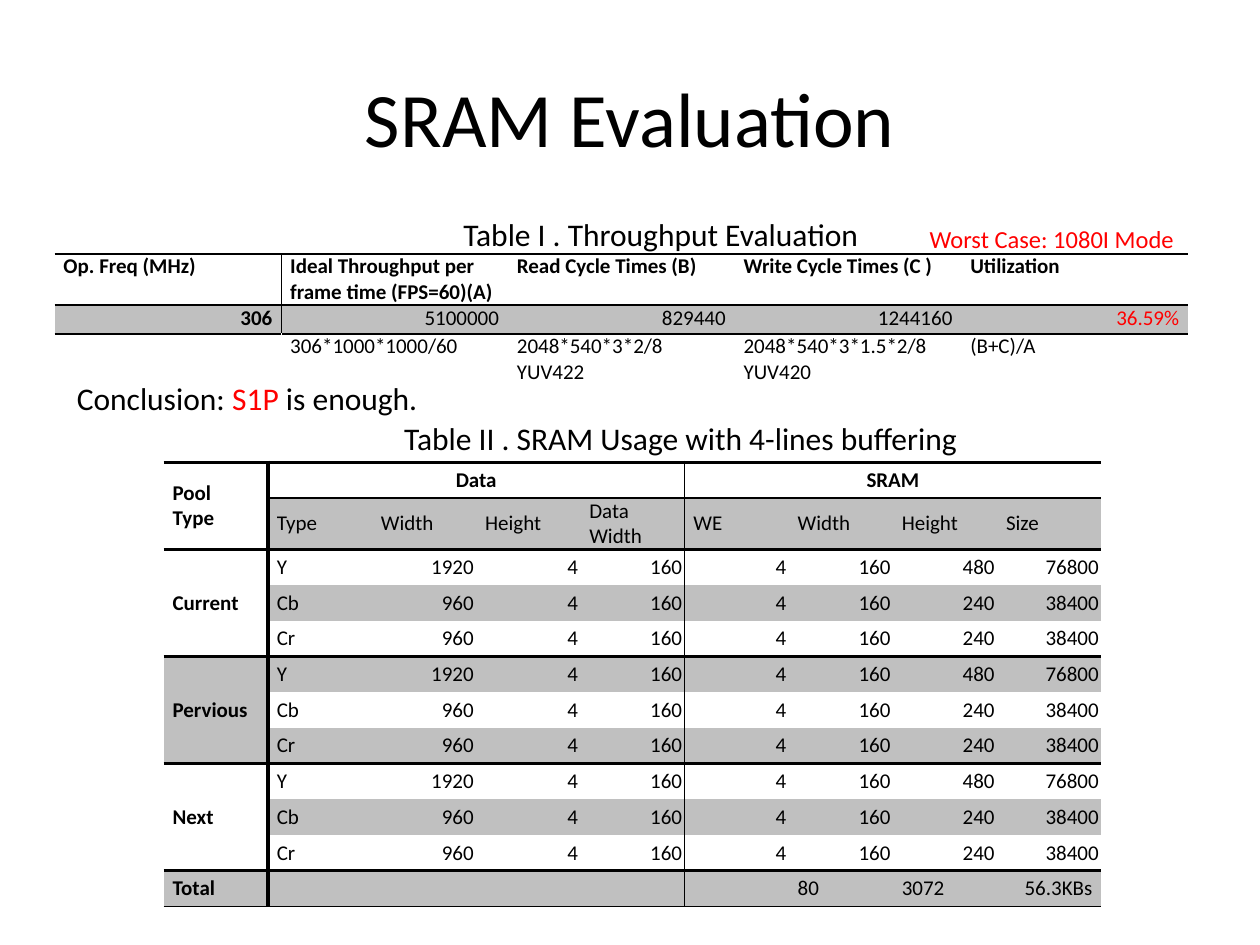
from lxml.etree import SubElement
from pptx import Presentation
from pptx.dml.color import RGBColor
from pptx.enum.text import MSO_ANCHOR, MSO_AUTO_SIZE, PP_ALIGN
from pptx.oxml.ns import qn
from pptx.util import Cm, Pt

HUES = {"ink": "000000", "back": "FFFFFF", "band": "C0C0C0", "alert": "FF0000"}


class Deck:
    font = "Calibri"
    small = 12

    def __init__(self):
        self.prs = Presentation()
        self.prs.slide_width, self.prs.slide_height = Cm(25.4), Cm(19.05)
        self.slide = self.prs.slides.add_slide(self.prs.slide_layouts[5])

    def style(self, run, size, hue="ink", bold=False):
        run.font.name, run.font.size, run.font.bold = self.font, Pt(size), bold
        run.font.color.rgb = RGBColor.from_string(HUES[hue])

    def title(self, text, left, top, width, height):
        box = self.slide.shapes.title
        box.left, box.top, box.width, box.height = map(Cm, (left, top, width, height))
        box.text_frame.text = text
        box.text_frame.vertical_anchor = MSO_ANCHOR.MIDDLE
        para = box.text_frame.paragraphs[0]
        para.alignment = PP_ALIGN.CENTER
        self.style(para.runs[0], 44)

    def label(self, parts, left, top, width, height, size=18):
        box = self.slide.shapes.add_textbox(Cm(left), Cm(top), Cm(width), Cm(height))
        frame = box.text_frame
        frame.word_wrap = False
        frame.auto_size = MSO_AUTO_SIZE.SHAPE_TO_FIT_TEXT
        for text, hue in parts:
            run = frame.paragraphs[0].add_run()
            run.text = text
            self.style(run, size, hue)

    def edge(self, cell, side, width, hue):
        line = SubElement(cell._tc.get_or_add_tcPr(), qn(f"a:ln{side}"))
        if not width:
            line.set("w", "0")
            SubElement(line, qn("a:noFill"))
            return
        line.set("w", str(Pt(width)))
        fill = SubElement(line, qn("a:solidFill"))
        SubElement(fill, qn("a:srgbClr")).set("val", HUES[hue])

    def entry(self, cell, text, align, inset, anchor, hue, bold):
        cell.margin_left = cell.margin_right = Cm(inset)
        cell.margin_top = cell.margin_bottom = 0
        cell.vertical_anchor = anchor
        cell.text_frame.text = text
        for para in cell.text_frame.paragraphs:
            para.alignment = align
            for run in para.runs:
                self.style(run, self.small, hue, bold)
            if not para.runs:  # keeps blank cells from stretching the row
                SubElement(para._p, qn("a:endParaRPr")).set("sz", str(self.small * 100))

    def table(self, data, left, top, wide, tall, rows, cols, look,
              anchor, spans=(), note=None):
        """rows and cols map a grid line to its width; look gives align, inset, hue."""
        count = len(data[0])
        grid = self.slide.shapes.add_table(
            len(data), count, Cm(left), Cm(top),
            Cm(wide * count), Cm(tall * len(data))).table
        grid.first_row = grid.horz_banding = False
        for col in grid.columns:
            col.width = Cm(wide)
        for row in grid.rows:
            row.height = Cm(tall)
        for r, c, high, across in spans:
            grid.cell(r, c).merge(grid.cell(r + high - 1, c + across - 1))
        for r, line in enumerate(data):
            for c, text in enumerate(line):
                cell = grid.cell(r, c)
                if cell.is_spanned:
                    continue
                high = cell.span_height if cell.is_merge_origin else 1
                across = cell.span_width if cell.is_merge_origin else 1
                sides = {"L": cols.get(c), "R": cols.get(c + across),
                         "T": rows.get(r), "B": rows.get(r + high)}
                for side, width in sides.items():
                    pale = r == note and side != "T"
                    self.edge(cell, side, width, "back" if pale else "ink")
                # Every second row is shaded
                if r % 2:
                    cell.fill.solid()
                    cell.fill.fore_color.rgb = RGBColor.from_string(HUES["band"])
                else:
                    cell.fill.background()
                align, inset, hue = look(r, c)
                self.entry(cell, text, align, inset, anchor, hue, r == 0 or c == 0)


def rate_look(r, c):
    align = PP_ALIGN.RIGHT if r == 1 else PP_ALIGN.LEFT
    return align, 0.18, "alert" if (r, c) == (1, 4) else "ink"


def pool_look(r, c):
    if r == 0 and c:
        return PP_ALIGN.CENTER, 0.18, "ink"
    if 2 <= r <= 10 and c >= 2:
        return PP_ALIGN.RIGHT, 0.05, "ink"
    return PP_ALIGN.RIGHT if (r, c) == (11, 8) else PP_ALIGN.JUSTIFY, 0.18, "ink"


def main():
    deck = Deck()
    deck.title("SRAM Evaluation", 1.27, 0.76, 22.86, 3.18)

    # Throughput table
    rates = [
        ["Op. Freq (MHz)", "Ideal Throughput per frame time (FPS=60)(A)",
         "Read Cycle Times (B)", "Write Cycle Times (C )", "Utilization"],
        ["306", "5100000", "829440", "1244160", "36.59%"],
        ["", "306*1000*1000/60", "2048*540*3*2/8\nYUV422",
         "2048*540*3*1.5*2/8\nYUV420", "(B+C)/A"],
    ]
    deck.table(rates, 1.1, 5.12, 4.57, 0.58, {0: 1, 1: 1, 2: 1, 3: 1}, {1: 1},
               rate_look, MSO_ANCHOR.TOP, note=2)

    # SRAM usage table: three pools of three planes each
    planes = [("Y", "1920", "480", "76800"), ("Cb", "960", "240", "38400"),
              ("Cr", "960", "240", "38400")]
    usage = [
        ["Pool\nType", "Data", "", "", "", "SRAM", "", "", ""],
        ["", "Type", "Width", "Height", "Data Width", "WE", "Width", "Height", "Size"],
    ]
    for pool in ("Current", "Pervious", "Next"):
        for i, (kind, width, depth, size) in enumerate(planes):
            usage.append(["" if i else pool, kind, width, "4", "160",
                          "4", "160", depth, size])
    usage.append(["Total", "", "", "", "", "", "80", "3072", "56.3KBs"])
    thick = 2.25
    rules = {0: thick, 1: 1, 2: thick, 5: thick, 8: thick, 11: thick, 12: 1}
    spans = [(0, 0, 2, 1), (0, 1, 1, 4), (0, 5, 1, 4)]
    spans += [(r, 0, 3, 1) for r in (2, 5, 8)]
    deck.table(usage, 3.3, 9.32, 2.1, 0.72, rules, {1: thick, 5: 1},
               pool_look, MSO_ANCHOR.MIDDLE, spans)

    # Captions and remarks
    deck.label([("Table I . Throughput Evaluation", "ink")], 9.09, 4.22, 8.59, 1.02)
    deck.label([("Conclusion: ", "ink"), ("S1P", "alert"), (" is enough.", "ink")],
               1.3, 7.52, 7.49, 1.02)
    deck.label([("Table II . SRAM Usage with 4-lines buffering", "ink")],
               7.9, 8.33, 11.81, 1.02)
    deck.label([("Worst Case: 1080I Mode", "alert")], 18.49, 4.39, 5.49, 0.86, 14)

    deck.prs.save("out.pptx")


if __name__ == "__main__":
    main()
